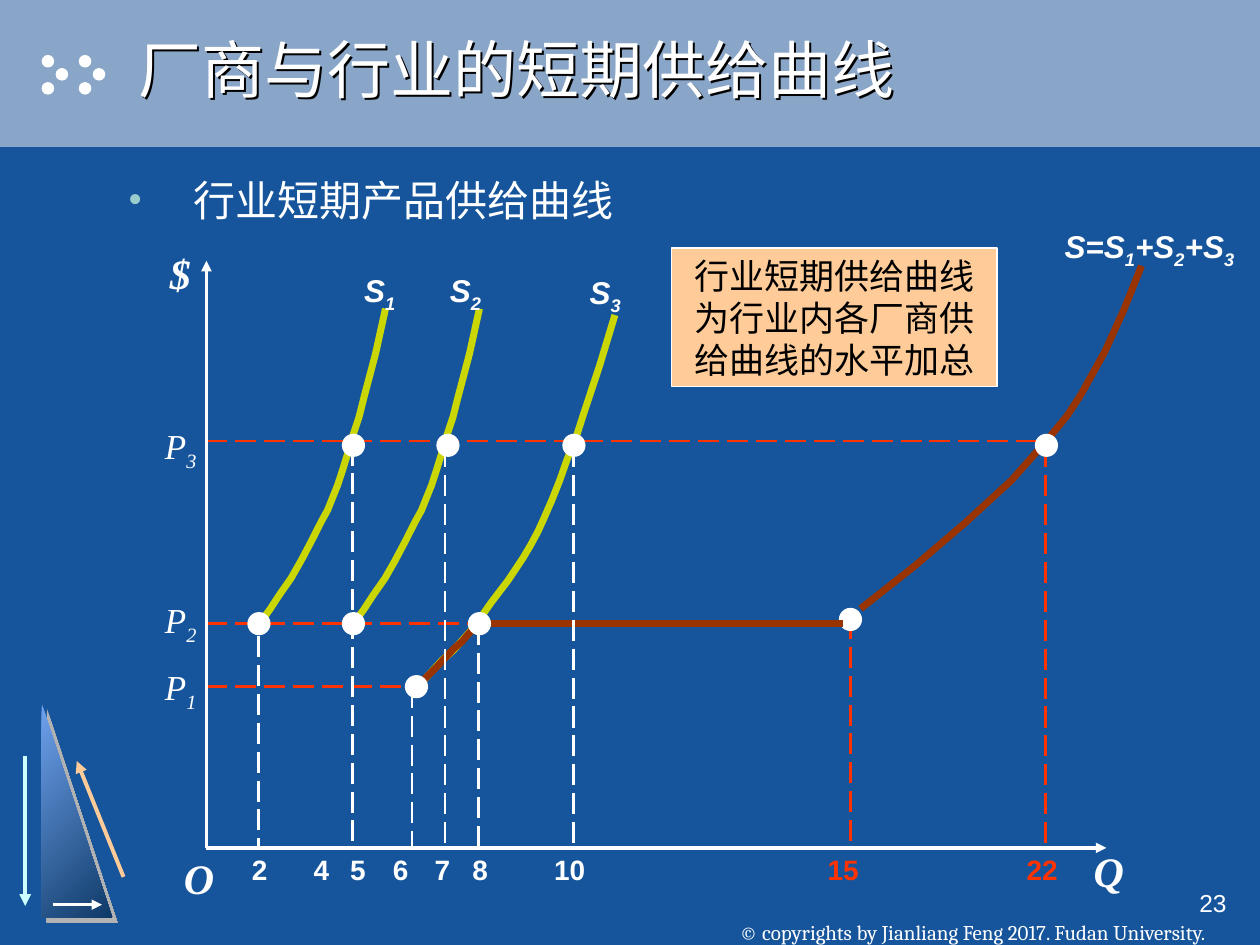
import itertools

import pptx
import pptx.dml.color
import pptx.enum.dml
import pptx.enum.shapes
import pptx.enum.text
import pptx.oxml.ns
import pptx.util
from lxml import etree

Pt = pptx.util.Pt
SHAPE = pptx.enum.shapes.MSO_SHAPE
ALIGN = pptx.enum.text.PP_ALIGN
ANCHOR = pptx.enum.text.MSO_ANCHOR
WHITE, RED, BROWN, LIME = "FFFFFF", "FF3300", "993300", "CAD704"
SERIF, SANS = "Times New Roman", "Arial"
AXIS_X, AXIS_Y = 118, 484.5
P1, P2, P3 = 392.4, 356.4, 252
QUANTITY = {2: 147.6, 5: 201.6, 6: 235.4, 7: 254.2, 8: 273.6, 10: 327.6, 15: 486, 22: 597.6}
FIRM_CURVE = [
    (148.3, 356.4), (154.1, 348.5), (159.8, 339.8), (166.3, 330.5), (172.1, 320.4),
    (177.8, 309.6), (183.6, 298.1), (187.2, 291.6), (190.1, 284.4), (193, 277.2),
    (195.8, 268.6), (198.7, 259.2), (201.6, 249.1), (205.2, 238.3), (208.1, 226.8),
    (214.6, 202.3), (220.3, 176.4)]
THIRD_CURVE = [
    (237, 394), (243.4, 387.4), (252.7, 377.3), (259.2, 371.5), (270.7, 358.6),
    (280.8, 344.2), (290.2, 331.9), (298.8, 319), (303.1, 311.8), (307.4, 303.8),
    (311, 295.9), (315.4, 285.8), (319.7, 275), (324, 262.8), (329, 250.6),
    (333.4, 236.9), (342.7, 208.8), (351.4, 180)]
INDUSTRY_LOW = [
    (238.3, 392.4), (249.1, 381.6), (259.2, 370.8), (264.2, 366.5), (267.8, 362.2),
    (271.4, 358.6), (274.3, 356.4)]
INDUSTRY_HIGH = [
    (491.8, 347.8), (522, 324), (551.5, 298.8), (578.2, 274.3), (589, 262.1),
    (599.8, 249.8), (609.8, 237.6), (617.8, 225.4), (631.4, 200.9), (642.2, 177.1),
    (652.3, 151.9)]


def color(value):
    return pptx.dml.color.RGBColor.from_string(value)


def add_child(parent, tag, **attributes):
    return etree.SubElement(parent, pptx.oxml.ns.qn(tag), attributes)


def add_shadow(shape, value, distance):
    shape.shadow.inherit = False
    effects = shape._element.spPr.find(pptx.oxml.ns.qn("a:effectLst"))
    shadow = add_child(effects, "a:outerShdw", dist=str(Pt(distance)), dir="2700000", algn="ctr", rotWithShape="0")
    add_child(shadow, "a:srgbClr", val=value)


def style_font(font, size, name, value, bold=False, italic=False):
    font.size, font.name, font.bold, font.italic = Pt(size), name, bold, italic
    font.color.rgb = color(value)


def add_shape(page, kind, left, top, width, height, fill=WHITE, line=None):
    shape = page.shapes.add_shape(kind, Pt(left), Pt(top), Pt(width), Pt(height))
    shape.shadow.inherit = False
    shape.fill.solid()
    shape.fill.fore_color.rgb = color(fill)
    if line:
        shape.line.color.rgb = color(line)
        shape.line.width = Pt(1)
    else:
        shape.line.fill.background()
    return shape


def add_dot(page, x, y, size=12.24, line=WHITE):
    add_shape(page, SHAPE.OVAL, x - size / 2, y - size / 2, size, size, line=line)


def add_line(page, x1, y1, x2, y2, value, width=1.5, dashed=False, arrow=False):
    line = page.shapes.add_connector(pptx.enum.shapes.MSO_CONNECTOR.STRAIGHT, Pt(x1), Pt(y1), Pt(x2), Pt(y2))
    line.line.color.rgb = color(value)
    line.line.width = Pt(width)
    if dashed:
        line.line.dash_style = pptx.enum.dml.MSO_LINE.LONG_DASH
    properties = line._element.spPr
    if arrow:
        add_child(properties.find(pptx.oxml.ns.qn("a:ln")), "a:tailEnd", type="triangle")
    add_child(properties, "a:effectLst")


def add_curve(page, points, value, shift=0):
    places = [(Pt(x + shift), Pt(y)) for x, y in points]
    builder = page.shapes.build_freeform(*places[0], scale=1.0)
    builder.add_line_segments(places[1:], close=False)
    curve = builder.convert_to_shape()
    curve.shadow.inherit = False
    curve.fill.background()
    curve.line.color.rgb = color(value)
    curve.line.width = Pt(4)


def add_text(page, text, left, top, width, height, size, name, value=WHITE,
             bold=False, italic=False, align=ALIGN.LEFT, wrap=False):
    box = page.shapes.add_textbox(Pt(left), Pt(top), Pt(width), Pt(height))
    box.text_frame.word_wrap = wrap
    box.text_frame.text = text
    para = box.text_frame.paragraphs[0]
    para.alignment = align
    style_font(para.runs[0].font, size, name, value, bold, italic)
    return box


def add_symbol(page, text, left, top, width, height, size, name, bold):
    box = page.shapes.add_textbox(Pt(left), Pt(top), Pt(width), Pt(height))
    box.text_frame.word_wrap = False
    for is_digit, letters in itertools.groupby(text, str.isdigit):
        span = box.text_frame.paragraphs[0].add_run()
        span.text = "".join(letters)
        style_font(span.font, size, name, WHITE, bold, True)
        if is_digit:
            span.font._element.set("baseline", "-25000")


def add_decoration(page):
    add_shape(page, SHAPE.RECTANGLE, 0, 0, 720, 84, "89A5C7")
    for left in (27.4, 48.6):
        for x, y in ((left, 35), (left + 8, 42.5), (left, 50.5)):
            add_dot(page, x, y, 7.2, None)
    triangle = add_shape(page, SHAPE.RIGHT_TRIANGLE, 23.8, 401.8, 40.3, 122.4)
    triangle.fill.gradient()
    triangle.fill.gradient_angle = 315
    for stop, value in zip(triangle.fill.gradient_stops, ("6FA2ED", "0F3A68")):
        stop.color.rgb = color(value)
    add_shadow(triangle, "B2B2B2", 4.2)
    add_line(page, 14.4, 432, 14.4, 517.7, "CCFFFF", 2.25, arrow=True)
    add_line(page, 70.6, 501.1, 43.9, 434.9, "FFCC99", 2.25, arrow=True)
    add_line(page, 30.2, 517, 58.3, 517, WHITE, arrow=True)


def add_heading(page):
    title = page.shapes.title
    title.left, title.top, title.width, title.height = Pt(72), Pt(0), Pt(648), Pt(78)
    title.fill.background()
    add_shadow(title, "000000", 1.5)
    title.text_frame.text = "厂商与行业的短期供给曲线"
    title.text_frame.auto_size = pptx.enum.text.MSO_AUTO_SIZE.NONE
    title.text_frame.vertical_anchor = ANCHOR.MIDDLE
    para = title.text_frame.paragraphs[0]
    para.alignment = ALIGN.LEFT
    style_font(para.runs[0].font, 36, SANS, WHITE)

    body = add_text(page, "行业短期产品供给曲线", 66, 96, 588, 40, 24, SERIF, wrap=True)
    properties = body.text_frame.paragraphs[0]._p.get_or_add_pPr()
    properties.set("marL", str(Pt(37.5)))
    properties.set("indent", str(Pt(-37.5)))
    add_child(add_child(properties, "a:buClr"), "a:srgbClr", val="99CCCC")
    add_child(properties, "a:buFont", typeface=SERIF)
    add_child(properties, "a:buChar", char="•")


def add_curves(page):
    add_curve(page, THIRD_CURVE, LIME)
    add_line(page, QUANTITY[15], 353, QUANTITY[15], AXIS_Y - 2, RED, dashed=True)
    add_dot(page, QUANTITY[15], 354)
    add_curve(page, INDUSTRY_LOW, BROWN)
    add_curve(page, INDUSTRY_HIGH, BROWN)
    add_line(page, 275.8, P2, 481.7, P2, BROWN, 4)
    for shift in (0, 53.7):
        add_curve(page, FIRM_CURVE, LIME, shift)
    for text, left, top, width in (("S1", 201, 151.2, 32.4), ("S2", 250, 151.2, 32.4),
                                   ("S3", 329.8, 152.6, 32.4), ("S=S1+S2+S3", 601.2, 126, 111.6)):
        add_symbol(page, text, left, top, width, 31.7, 18, SANS, True)


def add_guides(page):
    for price, end in ((P1, QUANTITY[6]), (P2, QUANTITY[8] - 6), (P3, QUANTITY[22] - 3)):
        add_line(page, AXIS_X, price, end, price, RED, dashed=True)
    for amount, top in ((2, P2 + 7), (5, P3 + 2), (6, P1), (7, P3 + 3), (8, P2), (10, P3 + 3), (22, P3 + 3)):
        value = RED if amount == 22 else WHITE
        add_line(page, QUANTITY[amount], top, QUANTITY[amount], AXIS_Y - 1, value, dashed=True)
    for x, y in ((238, P1), (148, P2), (202, P2), (274, P2),
                 (202, 254.5), (256, 254.5), (328, 254.5), (598, 254.5)):
        add_dot(page, x, y)


def add_axes(page):
    add_line(page, AXIS_X, AXIS_Y, AXIS_X, 149, WHITE, 2, arrow=True)
    add_line(page, AXIS_X, AXIS_Y, 632.2, AXIS_Y, WHITE, 2, arrow=True)
    for text, left, top, width in (("$", 90, 138.2, 26), ("O", 98, 483.8, 31.7), ("Q", 617.8, 479.5, 31.7)):
        add_text(page, text, left, top, width, 36, 24, SERIF, bold=True, italic=True)
    for text, top in (("P1", 376.6), ("P2", 338.4), ("P3", 239)):
        add_symbol(page, text, 87.1, top, 32.4, 34.6, 20, SERIF, False)
    for amount, left in ((2, 136.8), (4, 172.1), (5, 193), (6, 217.4), (7, 241.2),
                         (8, 262.8), (10, 309.6), (15, 465.8), (22, 579.6)):
        add_text(page, str(amount), left, 483.8, 24 if amount < 10 else 34, 26, 16, SANS,
                 RED if amount > 10 else WHITE, bold=True)


def add_note(page):
    note = add_shape(page, SHAPE.RECTANGLE, 383.8, 141.8, 186, 79.2, "FFCC99", WHITE)
    note.text_frame.word_wrap = True
    note.text_frame.text = "行业短期供给曲线为行业内各厂商供给曲线的水平加总"
    para = note.text_frame.paragraphs[0]
    para.alignment = ALIGN.CENTER
    style_font(para.runs[0].font, 20, SANS, "000000")


def add_footer(page):
    credit = add_text(page, "© copyrights by Jianliang Feng 2017. Fudan University.",
                      391.8, 504, 328.2, 36, 12, "Cambria", align=ALIGN.CENTER)
    credit.text_frame.vertical_anchor = ANCHOR.BOTTOM
    credit.text_frame.margin_top = credit.text_frame.margin_bottom = 0
    add_text(page, "23", 558, 504, 150, 36, 14, SANS, align=ALIGN.RIGHT, wrap=True)


def main():
    deck = pptx.Presentation()
    deck.slide_width, deck.slide_height = Pt(720), Pt(540)
    page = deck.slides.add_slide(deck.slide_layouts[5])
    page.background.fill.solid()
    page.background.fill.fore_color.rgb = color("16559B")
    for draw in (add_decoration, add_heading, add_curves, add_guides, add_axes, add_note, add_footer):
        draw(page)
    title = page.shapes.title._element
    title.getparent().append(title)
    deck.save("out.pptx")


if __name__ == "__main__":
    main()
